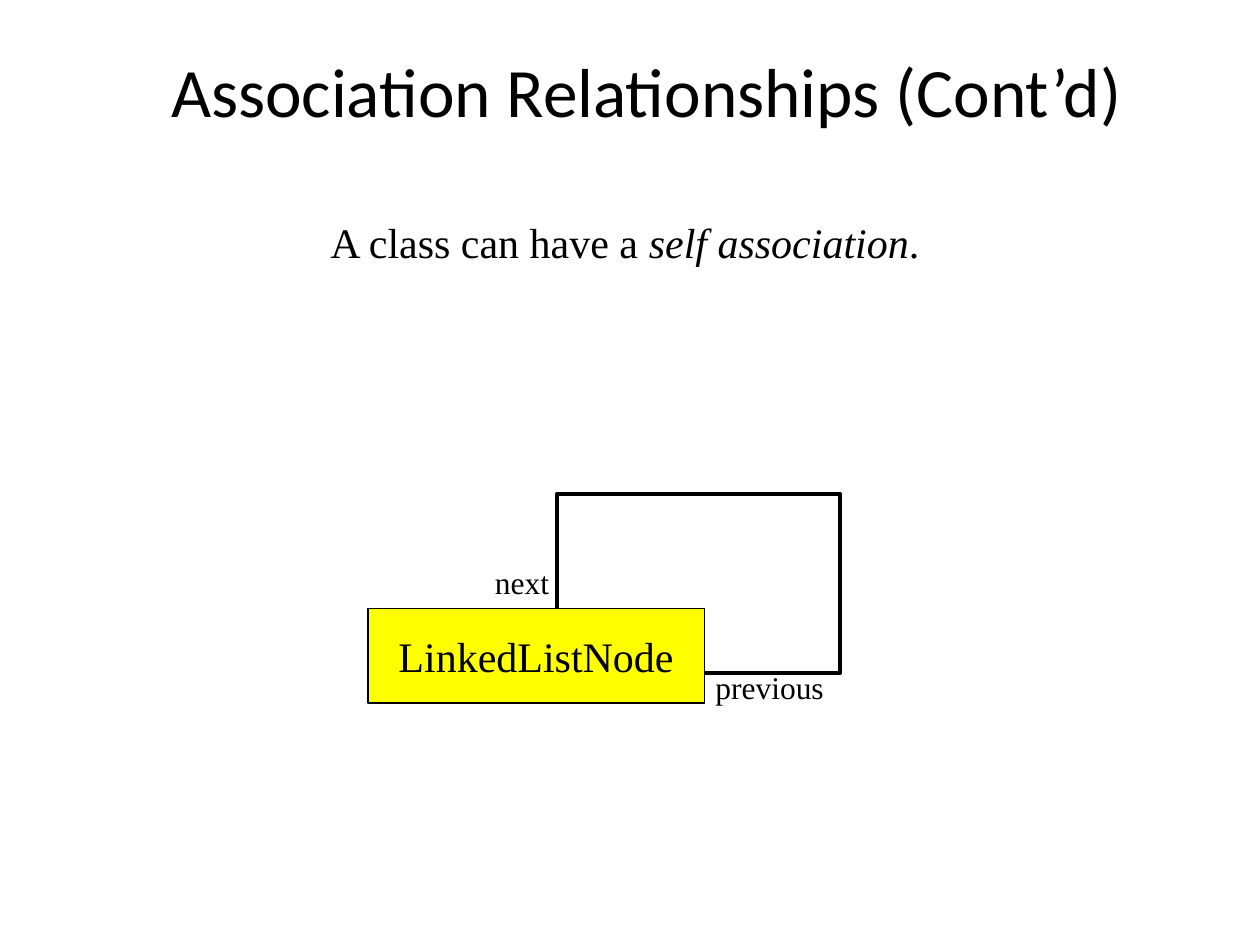
from pptx import Presentation
from pptx.dml.color import RGBColor
from pptx.enum.shapes import MSO_SHAPE
from pptx.enum.text import MSO_ANCHOR, PP_ALIGN
from pptx.util import Inches, Pt

RECTANGLE = MSO_SHAPE.RECTANGLE
TOP, MIDDLE = MSO_ANCHOR.TOP, MSO_ANCHOR.MIDDLE
LEFT, CENTER = PP_ALIGN.LEFT, PP_ALIGN.CENTER
SERIF, SANS = "Times New Roman", "Calibri"
COLORS = {"ink": "000000", "paper": "FFFFFF", "node": "FFFF00"}


def color(name):
    """Return the named colour."""
    return RGBColor.from_string(COLORS[name])


def write(sp, *parts, size=24, font=SERIF, align=CENTER, anchor=TOP, wrap=True, italic=()):
    """Write parts as runs of one paragraph, with the listed parts in italics."""
    tf = sp.text_frame
    tf.word_wrap = wrap
    tf.vertical_anchor = anchor
    p = tf.paragraphs[0]
    p.alignment = align
    for part in parts:
        r = p.add_run()
        r.text = part
        r.font.name = font
        r.font.size = Pt(size)
        r.font.italic = part in italic
        r.font.color.rgb = color("ink")


def add_text(s, box, *parts, **fmt):
    """Add a text box at (left, top, width, height) in inches."""
    write(s.shapes.add_textbox(*map(Inches, box)), *parts, **fmt)


def add_box(s, box, fill, line_width):
    """Add an outlined rectangle and return it."""
    sp = s.shapes.add_shape(RECTANGLE, *map(Inches, box))
    sp.shadow.inherit = False
    sp.fill.solid()
    sp.fill.fore_color.rgb = color(fill)
    sp.line.color.rgb = color("ink")
    sp.line.width = Pt(line_width)
    return sp


def main():
    """Build the self association slide."""
    prs = Presentation()
    prs.slide_width, prs.slide_height = Inches(10), Inches(7.5)
    s = prs.slides.add_slide(prs.slide_layouts[6])

    add_text(s, (0.67, 0.42, 8.92, 0.58), "Association Relationships (Cont’d)",
             size=39.6, font=SANS, anchor=MIDDLE)
    add_text(s, (0.67, 1.67, 8.58, 0.5), "A class can have a ", "self association", ".",
             italic=("self association",))

    add_box(s, (4.42, 3.92, 2.25, 1.42), "paper", 2.25)
    node = add_box(s, (2.92, 4.83, 2.67, 0.75), "node", 0.75)
    write(node, "LinkedListNode", anchor=MIDDLE, wrap=False)

    add_text(s, (3.83, 4.42, 0.67, 0.4), "next", size=18, align=LEFT)
    add_text(s, (5.58, 5.25, 1.17, 0.4), "previous", size=18, align=LEFT)

    prs.save("out.pptx")


if __name__ == "__main__":
    main()
